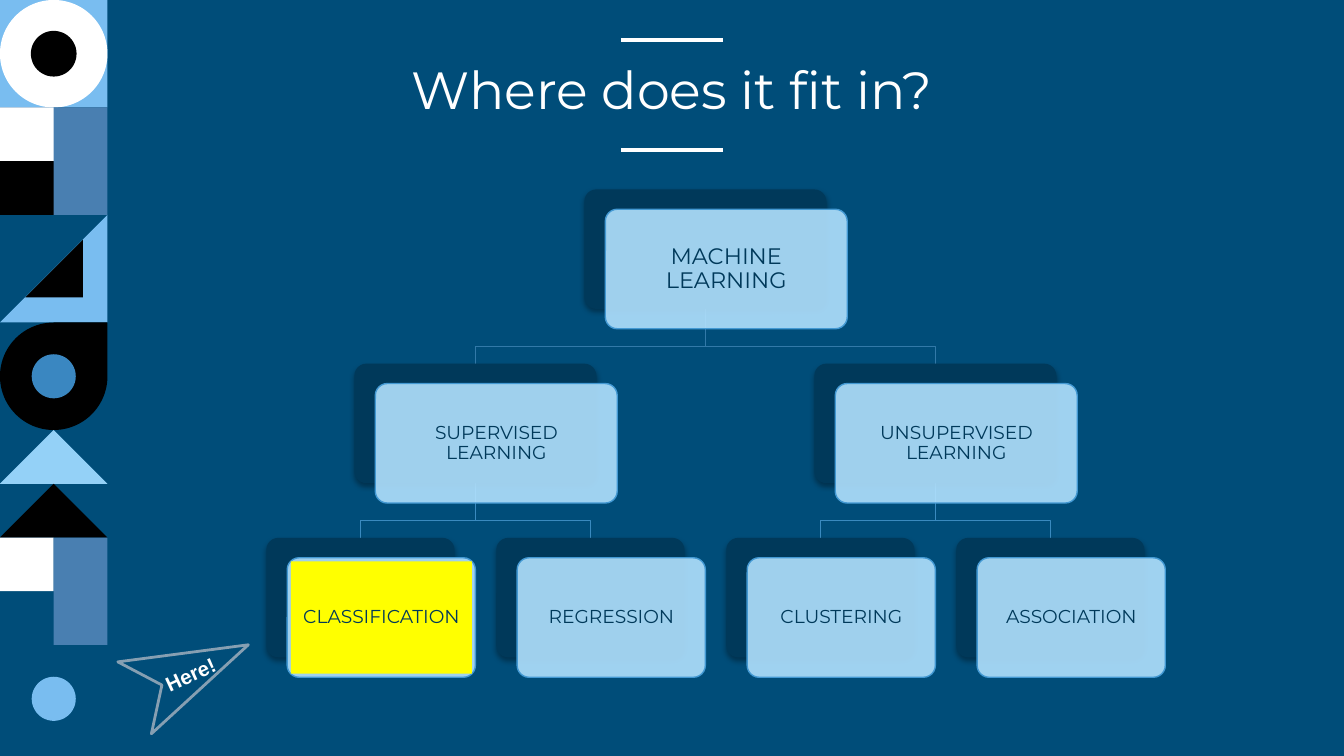
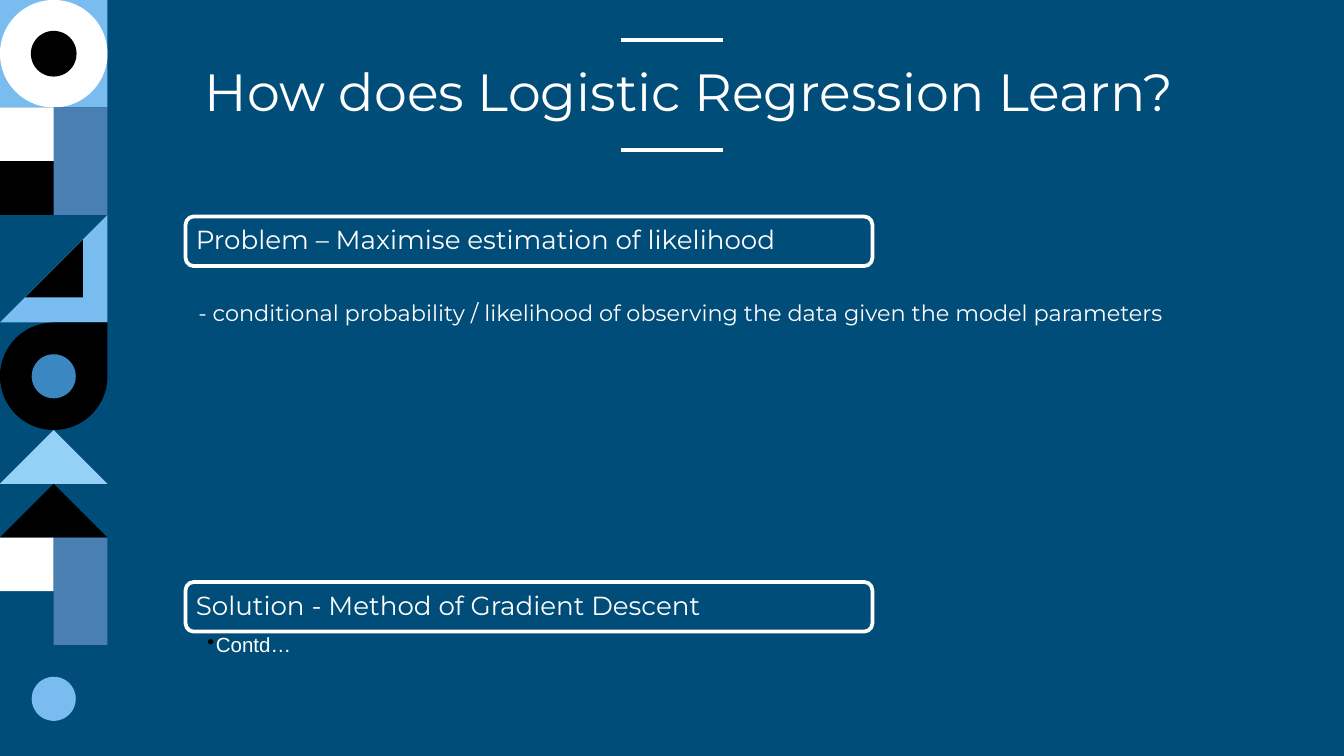
import pptx
import pptx.dml.color
import pptx.enum.shapes
import pptx.enum.text
import pptx.oxml
import pptx.oxml.ns
import pptx.util
import lxml.etree

Pt = pptx.util.Pt
qn = pptx.oxml.ns.qn
KIND = pptx.enum.shapes.MSO_SHAPE
ALIGN = pptx.enum.text.PP_ALIGN
ANCHOR = pptx.enum.text.MSO_ANCHOR

NAVY, DEEP, WHITE, BLACK = "004D79", "00395A", "FFFFFF", "000000"
SKY, STEEL, PALE, MID = "79BDF0", "497FB1", "94D1F7", "3A87C1"
FACE, EDGE, YELLOW, GREY = "B1E1FE", "4399D3", "FFFF00", "869FB2"
LINKS = ["3279A8", "3A8ABF"]
FONT = "Montserrat"
WIDE, HIGH = 720, 405

TREE = ("MACHINE LEARNING", [
    ("SUPERVISED LEARNING", [("CLASSIFICATION", []), ("REGRESSION", [])]),
    ("UNSUPERVISED LEARNING", [("CLUSTERING", []), ("ASSOCIATION", [])]),
])


def tint(hue):
    return pptx.dml.color.RGBColor.from_string(hue)


def sub(parent, tag, **attrs):
    """Append an XML child with the given attributes."""
    node = lxml.etree.SubElement(parent, qn(tag))
    for key, value in attrs.items():
        node.set(key, str(value))
    return node


def paint(shape, fill=None, line=None, width=0.75):
    """Set fill and outline, and drop the theme shadow."""
    if fill:
        shape.fill.solid()
        shape.fill.fore_color.rgb = tint(fill)
    else:
        shape.fill.background()
    if line:
        shape.line.color.rgb = tint(line)
        shape.line.width = Pt(width)
    else:
        shape.line.fill.background()
    shape.shadow.inherit = False
    return shape


def block(slide, kind, x, y, w, h, adj=None, **look):
    shape = slide.shapes.add_shape(kind, Pt(x), Pt(y), Pt(w), Pt(h))
    if adj is not None:
        shape.adjustments[0] = adj
    return paint(shape, **look)


def poly(slide, points, close=True, **look):
    dots = [(Pt(x), Pt(y)) for x, y in points]
    pen = slide.shapes.build_freeform(*dots[0])
    pen.add_line_segments(dots[1:], close=close)
    return paint(pen.convert_to_shape(), **look)


def write(slide, text, x, y, w, h, size=10, hue=WHITE, font=FONT, bold=False,
          align=ALIGN.LEFT, anchor=ANCHOR.TOP, pad=(0, 0, 0, 0), lead=None,
          fill=None, turn=0, bullet=None):
    """Add a text box; pad is left, top, right, bottom."""
    box = slide.shapes.add_textbox(Pt(x), Pt(y), Pt(w), Pt(h))
    box.rotation = turn
    if fill:
        paint(box, fill)
    frame = box.text_frame
    frame.word_wrap = True
    frame.vertical_anchor = anchor
    (frame.margin_left, frame.margin_top,
     frame.margin_right, frame.margin_bottom) = map(Pt, pad)
    para = frame.paragraphs[0]
    para.alignment = align
    if lead:
        para.line_spacing = lead
    run = para.add_run()
    run.text = text
    run.font.size = Pt(size)
    run.font.name = font
    run.font.bold = bold
    run.font.color.rgb = tint(hue)
    if bullet:
        props = para._p.get_or_add_pPr()
        props.set("marL", str(Pt(4.5)))
        props.set("indent", str(-Pt(4.5)))
        sub(sub(props, "a:buClr"), "a:srgbClr", val=bullet)
        sub(props, "a:buChar", char="•")
    return box


def rule(slide, x, y, w):
    line = slide.shapes.add_connector(
        pptx.enum.shapes.MSO_CONNECTOR.STRAIGHT, Pt(x), Pt(y), Pt(x + w), Pt(y))
    line.line.color.rgb = tint(WHITE)
    line.line.width = Pt(2.25)
    sub(line._element.spPr, "a:effectLst")


def strip(slide, x, y, u):
    """Draw the column of geometric tiles, each two units wide."""
    def tile(kind, col, row, w, h, hue):
        block(slide, kind, x + col * u, y + row * u, w * u, h * u, fill=hue)

    def dot(row, size, hue):
        tile(KIND.OVAL, 1 - size / 2, row - size / 2, size, size, hue)

    def wedge(right, row, size, hue):
        a, b = x + right * u, y + row * u
        poly(slide, [(a, b), (a - size * u, b + size * u), (a, b + size * u)],
             fill=hue)

    tile(KIND.RECTANGLE, 0, 0, 2, 2, SKY)
    dot(1, 2, WHITE)
    dot(1, 0.85, BLACK)
    tile(KIND.RECTANGLE, 0, 2, 2, 2, STEEL)
    tile(KIND.RECTANGLE, 0, 2, 1, 1, WHITE)
    tile(KIND.RECTANGLE, 0, 3, 1, 1, BLACK)
    wedge(2, 4, 2, SKY)
    wedge(1.54, 4.46, 1.07, BLACK)
    tile(KIND.TEAR, 0, 6, 2, 2, BLACK)
    dot(7, 0.82, MID)
    tile(KIND.ISOSCELES_TRIANGLE, 0, 8, 2, 1, PALE)
    tile(KIND.ISOSCELES_TRIANGLE, 0, 9, 2, 1, BLACK)
    tile(KIND.RECTANGLE, 0, 10, 1, 1, WHITE)
    tile(KIND.RECTANGLE, 1, 10, 1, 2, STEEL)
    dot(13, 0.82, SKY)


def start(deck, title, w, h):
    """Add a slide with background, tiles, rules and title."""
    slide = deck.slides.add_slide(deck.slide_layouts[6])
    slide.background.fill.solid()
    slide.background.fill.fore_color.rgb = tint(NAVY)
    for y in (21.4, 80.4):
        rule(slide, WIDE / 2 - 27.4, y, 54.8)
    strip(slide, 0, 0, 28.8)
    write(slide, title, 81.4, 11.5, w, h, size=28, align=ALIGN.CENTER,
          anchor=ANCHOR.BOTTOM, pad=(7.2,) * 4)
    return slide


def card(slide, label, x, y, w, h, size, fill):
    """Draw a dark back plate, a light face and its label."""
    back = block(slide, KIND.ROUNDED_RECTANGLE, x, y, w, h, 0.1, fill=DEEP)
    glow = sub(back._element.spPr.find(qn("a:effectLst")), "a:outerShdw",
               blurRad=Pt(3.1), dist=Pt(1.8), dir=5400000, rotWithShape=0)
    sub(sub(glow, "a:srgbClr", val=BLACK), "a:alpha", val=35000)
    x, y = x + 11.2, y + 10.65
    face = block(slide, KIND.ROUNDED_RECTANGLE, x, y, w, h, 0.1,
                 fill=FACE, line=EDGE)
    shade = face._element.spPr.find(qn("a:solidFill"))
    sub(shade[0], "a:alpha", val=90000)
    gap = 1.88
    write(slide, label, x + gap, y + gap, w - 2 * gap, h - 2 * gap, size=size,
          hue=DEEP, align=ALIGN.CENTER, anchor=ANCHOR.MIDDLE, pad=(3,) * 4,
          lead=0.9, fill=fill)


def chart(slide, x, y, pitch, step, h):
    """Lay out the tree: leaves at equal pitch, parents over their middle."""
    cards, links, leaves = [], [], []

    def place(node, depth):
        label, kids = node
        top = y + depth * step
        spots = [place(kid, depth + 1) for kid in kids]
        if spots:
            mid = sum(spots) / len(spots)
        else:
            mid = x + pitch * len(leaves)
            leaves.append(label)
        for spot in spots:
            bend = top + step - 9.3
            links.append(([(mid, top + h), (mid, bend), (spot, bend),
                           (spot, top + step)], LINKS[depth]))
        w = 129.6 if kids else 100.8
        cards.append((label, mid - w / 2, top, w, h, 10 if depth else 12,
                      YELLOW if label == "CLASSIFICATION" else None))
        return mid

    place(TREE, 0)
    for points, hue in links:
        poly(slide, points, close=False, line=hue)
    for spec_row in cards:
        card(slide, *spec_row)


def mark(slide, x, y, w, h, turn):
    """Draw the notched pointer and its word."""
    mid = y + h / 2
    arrow = poly(slide, [(x, y), (x + w * 0.24, mid), (x, y + h), (x + w, mid)],
                 line=GREY, width=1.5)
    arrow.rotation = turn
    write(slide, "Here!", x + 11.6, y + 11.5, 48.2, 20.9, size=11, font="Arial",
          bold=True, pad=(7.2, 3.6, 7.2, 3.6), turn=turn)


def head(slide, text, x, y, w, h):
    """Draw an outlined heading bar."""
    block(slide, KIND.ROUNDED_RECTANGLE, x, y, w, h, fill=NAVY, line=WHITE,
          width=2)
    write(slide, text, x + 1.3, y + 1.3, w - 2.6, h - 2.6, size=14,
          anchor=ANCHOR.MIDDLE, pad=(4.2,) * 4, lead=0.9)


def body(slide, x, y, w):
    bar = 26.6
    head(slide, "Problem – Maximise estimation of likelihood", x, y, w, bar)
    write(slide, "- conditional probability / likelihood of observing the data "
          "given the model parameters", x, y + 42.4, 589, 42.2, size=12,
          pad=(6.8, 3.6, 3.6, 3.6), lead=0.9)
    low = y + 195.8
    head(slide, "Solution - Method of Gradient Descent", x, low, w, bar)
    write(slide, "Contd…", x, low + bar, w, 18, size=11, font="Arial",
          pad=(11.7, 1.4, 7.9, 1.4), lead=0.9, bullet=BLACK)


def main():
    deck = pptx.Presentation()
    deck.slide_width, deck.slide_height = Pt(WIDE), Pt(HIGH)
    fit = start(deck, "Where does it fit in?", 557.3, 59.8)
    chart(fit, 193.1, 101.5, 123.2, 93.35, 64)
    mark(fit, 69, 338.4, 67.2, 42.5, -25)
    learn = start(deck, "How does Logistic Regression Learn?", 575.3, 61.2)
    body(learn, 99.4, 116, 368)
    deck.save("out.pptx")


if __name__ == "__main__":
    main()
